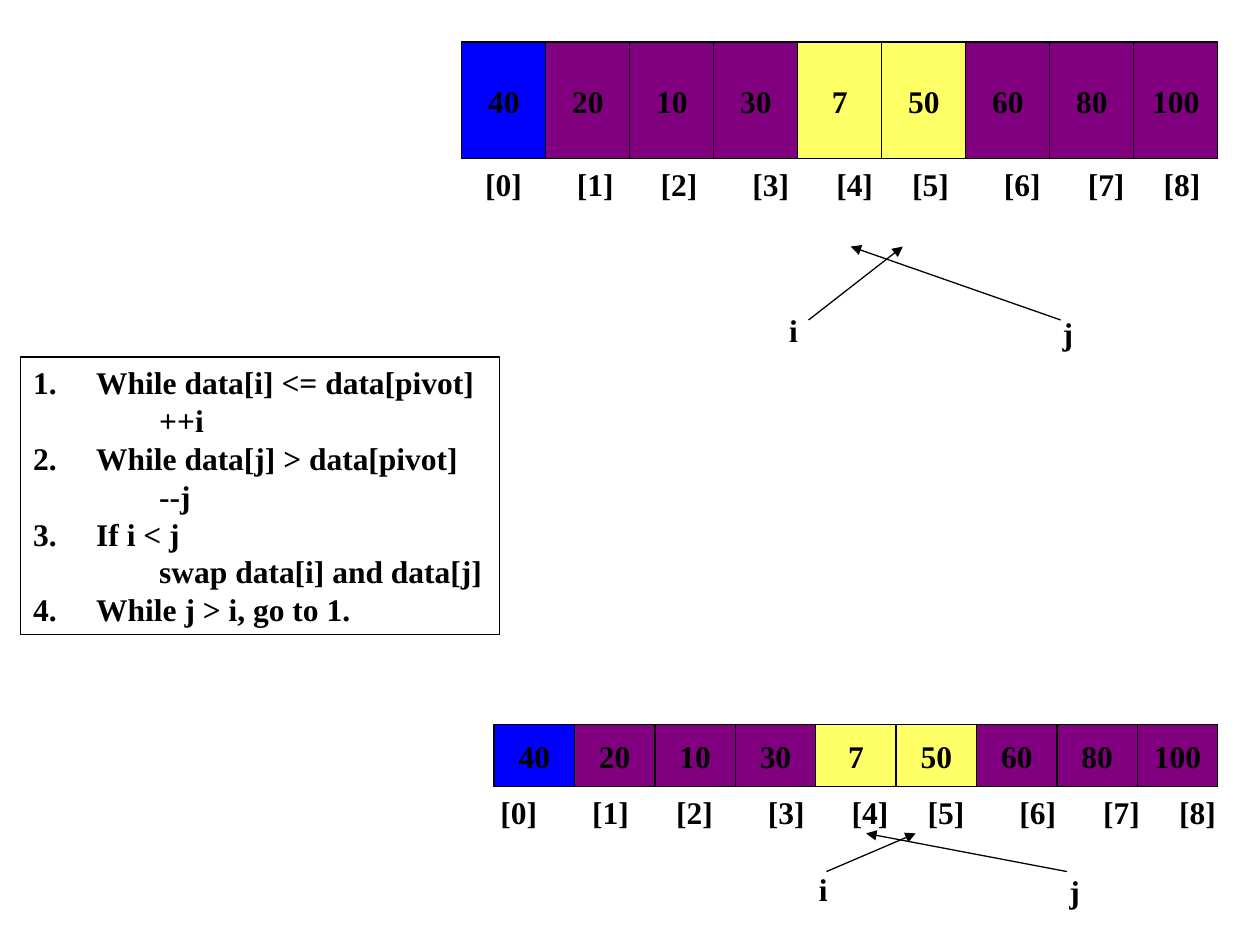
from dataclasses import dataclass
from itertools import accumulate

from lxml.etree import SubElement
from pptx import Presentation
from pptx.dml.color import RGBColor as Rgb
from pptx.enum.shapes import MSO_CONNECTOR as Connector, MSO_SHAPE as Shape
from pptx.enum.text import MSO_ANCHOR as Anchor, PP_ALIGN as Align
from pptx.oxml.ns import qn
from pptx.util import Cm, Pt


@dataclass(frozen=True)
class Theme:
    font: str = "Times New Roman"
    size: Pt = Pt(18)
    leading: Pt = Pt(21.6)
    stroke: Pt = Pt(0.75)
    ink: Rgb = Rgb(0x00, 0x00, 0x00)
    pivot: Rgb = Rgb(0x00, 0x00, 0xFF)
    active: Rgb = Rgb(0xFF, 0xFF, 0x66)
    plain: Rgb = Rgb(0x80, 0x00, 0x80)


class Painter:
    def __init__(self, slide, theme):
        self.slide = slide
        self.theme = theme
        self.shapes = slide.shapes

    def start_group(self):
        self.shapes = self.slide.shapes.add_group_shape().shapes

    def end_group(self):
        self.shapes = self.slide.shapes

    def add_text(self, para, text, align=Align.LEFT):
        para.alignment = align
        para.line_spacing = self.theme.leading
        span = para.add_run()
        span.text = text
        font = span.font
        font.name = self.theme.font
        font.size = self.theme.size
        font.bold = True
        font.color.rgb = self.theme.ink

    def rectangle(self, left, top, width, height, fill=None):
        box = self.shapes.add_shape(Shape.RECTANGLE, Cm(left), Cm(top), Cm(width), Cm(height))
        box.shadow.inherit = False
        box.line.color.rgb = self.theme.ink
        box.line.width = self.theme.stroke
        if fill is None:
            box.fill.background()
        else:
            box.fill.solid()
            box.fill.fore_color.rgb = fill
        return box

    def cell(self, left, top, width, height, value, fill):
        frame = self.rectangle(left, top, width, height, fill).text_frame
        frame.word_wrap = False
        frame.vertical_anchor = Anchor.MIDDLE
        self.add_text(frame.paragraphs[0], str(value), Align.CENTER)

    def label(self, left, top, width, text):
        box = self.shapes.add_textbox(Cm(left), Cm(top), Cm(width), Cm(1.02))
        box.text_frame.word_wrap = True
        self.add_text(box.text_frame.paragraphs[0], text)
        return box

    def index_row(self, left, top, count):
        frame = self.label(left, top, 14.94, "\t".join(f"[{i}]" for i in range(count))).text_frame
        frame.margin_right = 0
        tabs = SubElement(frame.paragraphs[0]._p.get_or_add_pPr(), qn("a:tabLst"))
        for stop in accumulate(INDEX_GAPS):
            SubElement(tabs, qn("a:tab"), pos=str(Cm(stop)), algn="l")

    def arrow(self, start, end):
        points = [Cm(value) for value in (*start, *end)]
        line = self.shapes.add_connector(Connector.STRAIGHT, *points)
        line.line.color.rgb = self.theme.ink
        line.line.width = self.theme.stroke
        properties = line._element.spPr
        SubElement(properties.find(qn("a:ln")), qn("a:tailEnd"), type="triangle")
        SubElement(properties, qn("a:effectLst"))

    def steps(self, left, top, width, height, lines):
        frame = self.rectangle(left, top, width, height).text_frame
        frame.word_wrap = True
        frame.vertical_anchor = Anchor.TOP
        for number, (level, text) in enumerate(lines):
            para = frame.add_paragraph() if number else frame.paragraphs[0]
            para.level = level
            properties = para._p.get_or_add_pPr()
            properties.set("marL", str(Cm(1.27 * (level + 1))))
            properties.set("indent", str(Cm(0 if level else -1.27)))
            if level == 0:
                SubElement(properties, qn("a:buAutoNum"), type="arabicPeriod")
            self.add_text(para, text)

    def array(self, left, top, width, height, index_left, pointers):
        self.start_group()
        step = width / len(VALUES)
        for place, value in enumerate(VALUES):
            fill = self.theme.plain
            if place == 0:
                fill = self.theme.pivot
            elif place in ACTIVE:
                fill = self.theme.active
            self.cell(left + place * step, top, step, height, value, fill)
        for name, (corner, label_width, start, end) in pointers.items():
            self.label(*corner, label_width, name)
            self.arrow(start, end)
        self.index_row(index_left, top + height, len(VALUES))
        self.end_group()


VALUES = [40, 20, 10, 30, 7, 50, 60, 80, 100]
ACTIVE = {4, 5}
INDEX_GAPS = [1.85, 1.69, 1.85, 1.69, 1.53, 1.85, 1.69, 1.53]
STEPS = [
    (0, "While data[i] <= data[pivot]"),
    (1, "++i"),
    (0, "While data[j] > data[pivot]"),
    (1, "--j"),
    (0, "If i < j"),
    (1, "swap data[i] and data[j]"),
    (0, "While j > i, go to 1."),
]
UPPER_POINTERS = {
    "i": ((15.66, 6.14), 0.64, (16.3, 6.45), (18.2, 4.97)),
    "j": ((21.17, 6.2), 0.64, (21.38, 6.45), (17.15, 4.97)),
}
LOWER_POINTERS = {
    "i": ((16.26, 17.42), 0.81, (16.66, 17.57), (18.46, 16.8)),
    "j": ((21.31, 17.45), 1.02, (21.51, 17.57), (17.46, 16.8)),
}


def main():
    deck = Presentation()
    deck.slide_width, deck.slide_height = Cm(25.4), Cm(19.05)
    page = deck.slides.add_slide(deck.slide_layouts[6])
    painter = Painter(page, Theme())
    painter.array(9.31, 0.85, 15.24, 2.35, 9.53, UPPER_POINTERS)
    painter.steps(0.42, 7.2, 9.65, 5.59, STEPS)
    painter.array(9.96, 14.61, 14.59, 1.25, 9.84, LOWER_POINTERS)
    deck.save("out.pptx")


if __name__ == "__main__":
    main()
